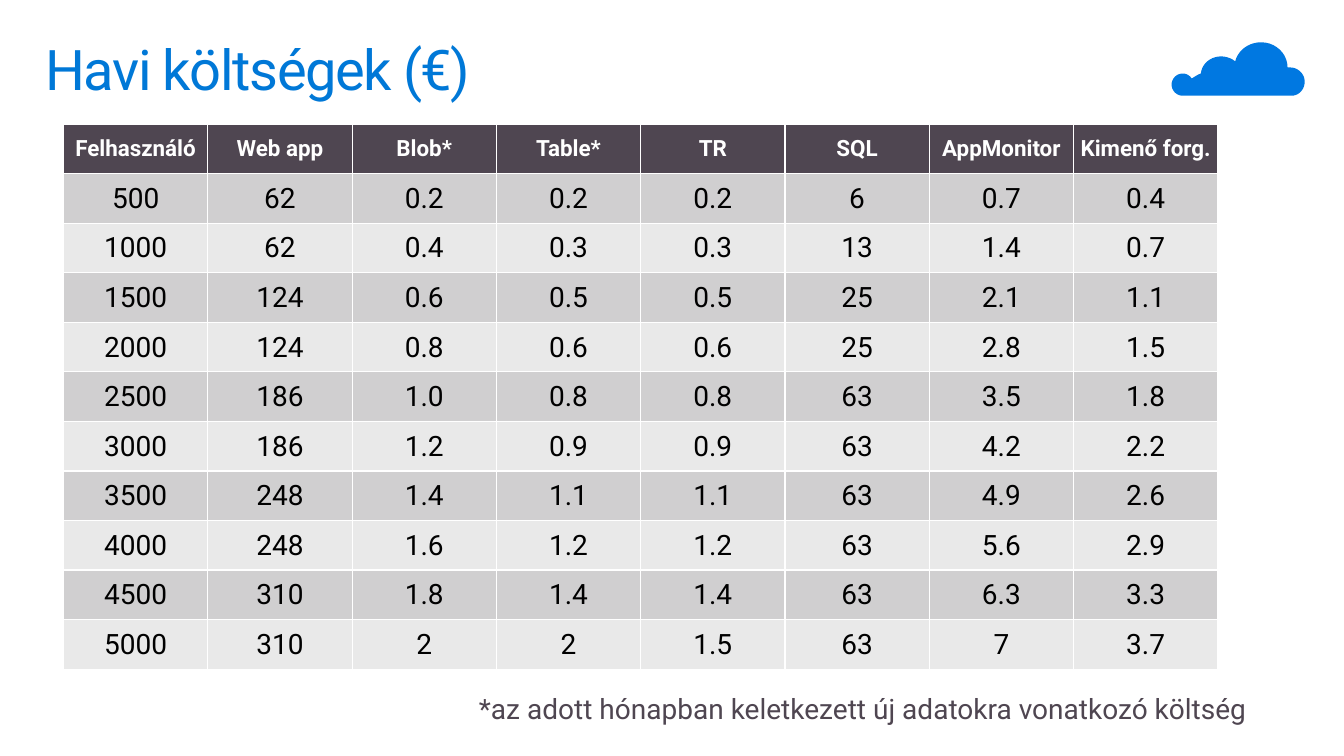
import pptx
import pptx.util
import pptx.dml.color
import pptx.enum.text
import pptx.oxml
from pptx.util import Inches

FONT = "Roboto"
NS = "http://schemas.openxmlformats.org/drawingml/2006/main"


def rgb(value):
    return pptx.dml.color.RGBColor.from_string(value)


def write(tf, text, size, color, bold=False):
    tf.text = text
    p = tf.paragraphs[0]
    r = p.runs[0]
    r.font.name = FONT
    r.font.size = pptx.util.Pt(size)
    r.font.bold = bold
    r.font.color.rgb = rgb(color)
    return p


prs = pptx.Presentation()
prs.slide_width = Inches(13.33)
prs.slide_height = Inches(7.5)
s = prs.slides.add_slide(prs.slide_layouts[6])

# Cloud: each curve is two control points and an end point
start = (12.8, 0.67)
curves = [
    ((12.79, 0.67), (12.78, 0.67), (12.77, 0.67)),
    ((12.77, 0.53), (12.65, 0.42), (12.51, 0.42)),
    ((12.38, 0.42), (12.28, 0.5), (12.25, 0.61)),
    ((12.22, 0.58), (12.16, 0.56), (12.11, 0.56)),
    ((12.01, 0.56), (11.92, 0.63), (11.91, 0.73)),
    ((11.88, 0.74), (11.85, 0.76), (11.82, 0.78)),
    ((11.8, 0.75), (11.77, 0.73), (11.73, 0.73)),
    ((11.67, 0.73), (11.62, 0.78), (11.62, 0.84)),
    ((11.62, 0.9), (11.67, 0.95), (11.73, 0.95)),
    ((12.1, 0.95), (12.4, 0.95), (12.81, 0.95)),
    ((12.88, 0.95), (12.94, 0.89), (12.94, 0.81)),
    ((12.94, 0.73), (12.87, 0.67), (12.8, 0.67)),
]
steps = 10
outline = []
a = start
for b, c, d in curves:
    for i in range(1, steps + 1):
        t = i / steps
        u = 1 - t
        outline.append([Inches(u**3 * a[k] + 3 * u * u * t * b[k] + 3 * u * t * t * c[k]
                               + t**3 * d[k]) for k in (0, 1)])
    a = d
builder = s.shapes.build_freeform(Inches(start[0]), Inches(start[1]))
builder.add_line_segments(outline, close=True)
cloud = builder.convert_to_shape()
cloud.shadow.inherit = False
cloud.fill.solid()
cloud.fill.fore_color.rgb = rgb("0078E1")
cloud.line.fill.background()

# Title and footnote
texts = [
    ("Havi költségek (€)", (0.29, 0.32, 12.75, 0.98), (0.16, 0.1), 40, "0078D7"),
    ("*az adott hónapban keletkezett új adatokra vonatkozó költség",
     (4.55, 6.75, 9.12, 0.63), (0.2, 0.16), 20, "4F4651"),
]
for text, box, (side, end), size, color in texts:
    sp = s.shapes.add_textbox(*[Inches(v) for v in box])
    tf = sp.text_frame
    tf.word_wrap = True
    tf.margin_left = tf.margin_right = Inches(side)
    tf.margin_top = tf.margin_bottom = Inches(end)
    p = write(tf, text, size, color)
    p.line_spacing = 0.9
    if size == 40:
        p.runs[0].font._element.set("spc", "-100")

# Monthly cost table
rows = [
    ["Felhasználó", "Web app", "Blob*", "Table*", "TR", "SQL", "AppMonitor", "Kimenő forg."],
    ["500", "62", "0.2", "0.2", "0.2", "6", "0.7", "0.4"],
    ["1000", "62", "0.4", "0.3", "0.3", "13", "1.4", "0.7"],
    ["1500", "124", "0.6", "0.5", "0.5", "25", "2.1", "1.1"],
    ["2000", "124", "0.8", "0.6", "0.6", "25", "2.8", "1.5"],
    ["2500", "186", "1.0", "0.8", "0.8", "63", "3.5", "1.8"],
    ["3000", "186", "1.2", "0.9", "0.9", "63", "4.2", "2.2"],
    ["3500", "248", "1.4", "1.1", "1.1", "63", "4.9", "2.6"],
    ["4000", "248", "1.6", "1.2", "1.2", "63", "5.6", "2.9"],
    ["4500", "310", "1.8", "1.4", "1.4", "63", "6.3", "3.3"],
    ["5000", "310", "2", "2", "1.5", "63", "7", "3.7"],
]
table = s.shapes.add_table(len(rows), len(rows[0]), Inches(0.63), Inches(1.23),
                           Inches(11.45), Inches(5.41)).table
for i, row in enumerate(rows):
    header = i == 0
    fill = "4F4651" if header else ("E9E9E9", "D0CFD0")[i % 2]
    for j, value in enumerate(row):
        cell = table.cell(i, j)
        cell.margin_left = cell.margin_right = cell.margin_top = Inches(0.01)
        cell.margin_bottom = 0
        cell.vertical_anchor = pptx.enum.text.MSO_ANCHOR.MIDDLE
        p = write(cell.text_frame, value, 16 if header else 20,
                  "FFFFFF" if header else "000000", header)
        p.alignment = pptx.enum.text.PP_ALIGN.CENTER
        # White 1 pt borders
        for side in "LRTB":
            cell._tc.get_or_add_tcPr().append(pptx.oxml.parse_xml(
                f'<a:ln{side} xmlns:a="{NS}" w="12700"><a:solidFill>'
                f'<a:srgbClr val="FFFFFF"/></a:solidFill></a:ln{side}>'))
        cell.fill.solid()
        cell.fill.fore_color.rgb = rgb(fill)

prs.save("out.pptx")
